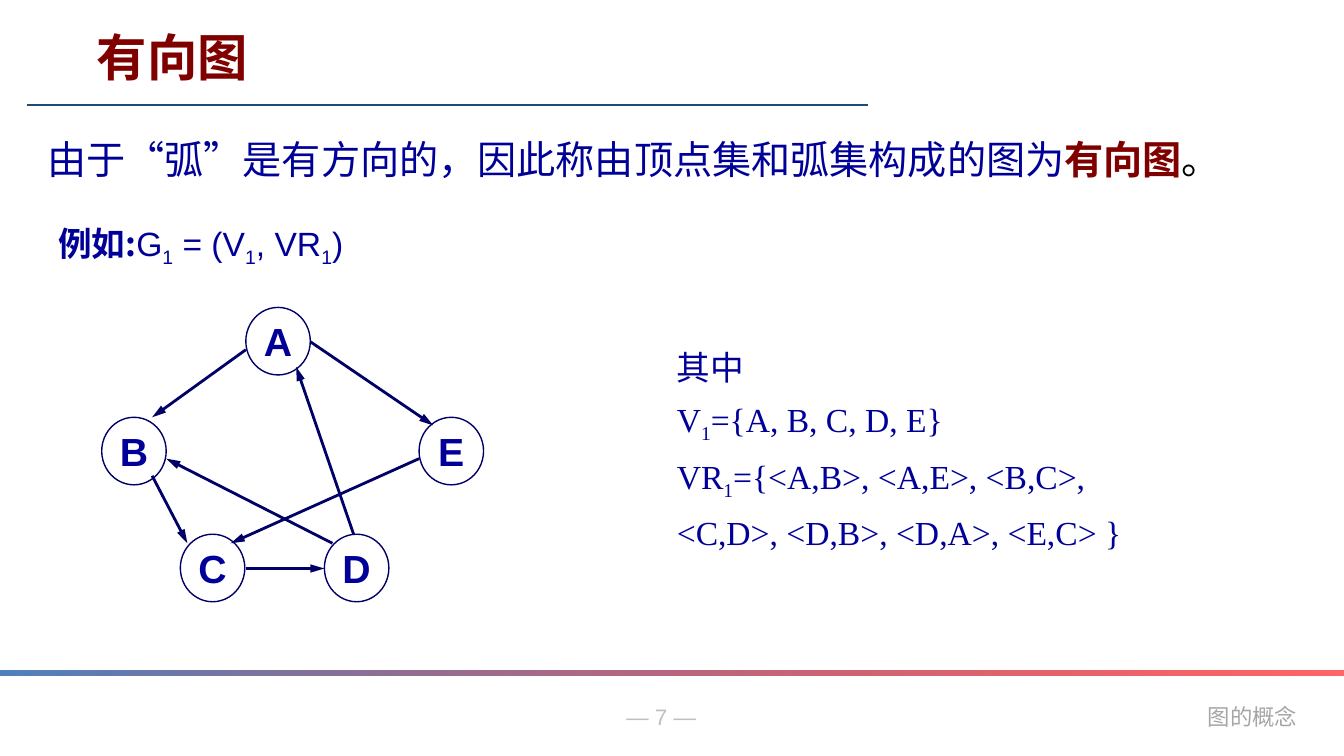
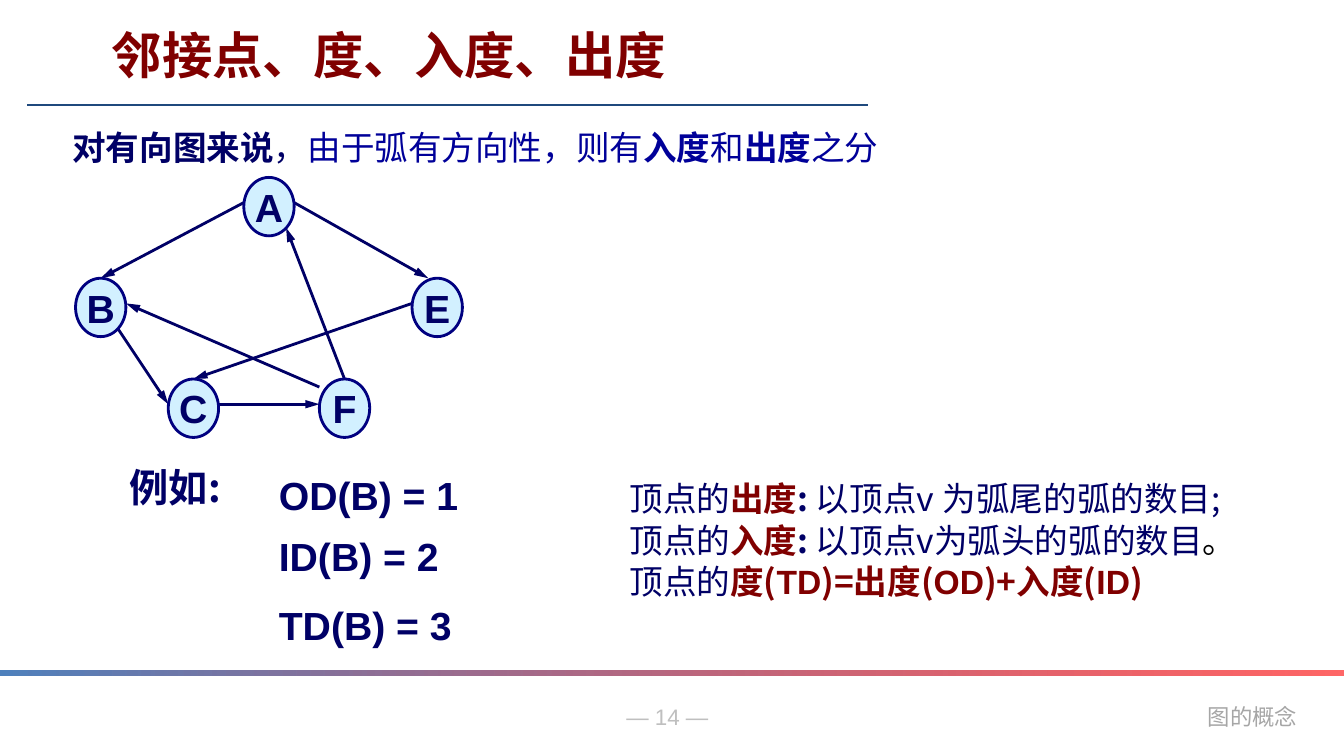
from dataclasses import dataclass

from lxml.etree import SubElement
from pptx import Presentation
from pptx.dml.color import RGBColor
from pptx.enum.shapes import MSO_CONNECTOR, MSO_SHAPE
from pptx.enum.text import MSO_ANCHOR, MSO_AUTO_SIZE, PP_ALIGN
from pptx.oxml.ns import qn
from pptx.util import Inches, Pt


@dataclass(frozen=True)
class Theme:
    blue: str = "000099"
    navy: str = "000066"
    node_line: str = "000080"
    node_fill: str = "A7E2FF"
    maroon: str = "800000"
    black: str = "000000"
    rule: str = "1F497D"
    band_start: str = "4F81BD"
    band_end: str = "FF0000"
    page_gray: str = "BFBFBF"
    footer_gray: str = "A6A6A6"
    latin: str = "Arial"
    serif: str = "Times New Roman"
    mono: str = "Noto Sans Mono"
    chinese: str = "Noto Sans CJK SC"
    title_size: int = 36
    large_size: int = 28
    body_size: int = 24
    footer_size: int = 16


THEME = Theme()
TITLE = dict(size=THEME.title_size, color=THEME.maroon, font=THEME.latin, bold=True)
LARGE = dict(size=THEME.large_size, color=THEME.blue, font=THEME.chinese)
BODY = dict(size=THEME.body_size, color=THEME.blue, font=THEME.chinese)
FORMULA = BODY | dict(font=THEME.serif)
DEFINITION = BODY | dict(color=THEME.navy)
EXAMPLE = dict(size=THEME.large_size, color=THEME.navy, font=THEME.latin, bold=True)
FOOTER = dict(size=THEME.footer_size, color=THEME.footer_gray, font=THEME.mono)
PAGE = FOOTER | dict(color=THEME.page_gray, font=THEME.latin)
BOLD = dict(bold=True)
KEY = dict(color=THEME.maroon, bold=True)
KEY_LATIN = KEY | dict(font=THEME.latin)
SUBSCRIPT = dict(baseline=-25000)


def inches(*values):
    return [Inches(value) for value in values]


def add_run(paragraph, text, style):
    run = paragraph.add_run()
    run.text = text
    run.font.color.rgb = RGBColor.from_string(style["color"])
    values = dict(size=Pt(style["size"]), bold=style.get("bold", False), name=style["font"])
    for name, value in values.items():
        setattr(run.font, name, value)
    properties = run._r.get_or_add_rPr()
    SubElement(properties, qn("a:ea"), typeface=THEME.chinese)
    if "baseline" in style:
        properties.set("baseline", str(style["baseline"]))


def write(frame, paragraphs, style, spacing=1.0, **frame_values):
    values = dict(word_wrap=True, auto_size=MSO_AUTO_SIZE.NONE, vertical_anchor=MSO_ANCHOR.TOP)
    for name, value in (values | frame_values).items():
        setattr(frame, name, value)
    for index, runs in enumerate(paragraphs):
        paragraph = frame.add_paragraph() if index else frame.paragraphs[0]
        paragraph.alignment = PP_ALIGN.LEFT
        paragraph.line_spacing = spacing
        for text, changes in runs:
            add_run(paragraph, text, style | changes)


def add_text(slide, box, paragraphs, style, spacing=1.0):
    shape = slide.shapes.add_textbox(*inches(*box))
    write(shape.text_frame, paragraphs, style, spacing)
    return shape


def add_line(slide, ends, color, width, arrow=False):
    line = slide.shapes.add_connector(MSO_CONNECTOR.STRAIGHT, *inches(*ends))
    line.line.color.rgb = RGBColor.from_string(color)
    line.line.width = Pt(width)
    if arrow:
        SubElement(line.line._get_or_add_ln(), qn("a:tailEnd"), type="triangle", w="med", len="lg")
    SubElement(line._element.spPr, qn("a:effectLst"))
    return line


def set_alpha(shape, color, percent):
    for element in shape._element.spPr.iter(qn("a:srgbClr")):
        if element.get("val") == color:
            SubElement(element, qn("a:alpha"), val=str(percent * 1000))


def add_node(slide, letter, box, text_color, line_color, line_width, fill):
    node = slide.shapes.add_shape(MSO_SHAPE.OVAL, *inches(*box))
    node.shadow.inherit = False
    node.line.color.rgb = RGBColor.from_string(line_color)
    node.line.width = Pt(line_width)
    if fill:
        node.fill.solid()
        node.fill.fore_color.rgb = RGBColor.from_string(fill)
        set_alpha(node, fill, 50)
    else:
        node.fill.background()
    write(node.text_frame, [[(letter, {})]], EXAMPLE | dict(color=text_color),
          word_wrap=False, vertical_anchor=MSO_ANCHOR.MIDDLE)
    node.text_frame.paragraphs[0].alignment = PP_ALIGN.CENTER


def add_graph(slide, nodes, node_size, edges, **node_style):
    for ends in edges:
        add_line(slide, ends, THEME.navy, 2, arrow=True)
    for letter, corner in nodes.items():
        add_node(slide, letter, corner + node_size, **node_style)


def add_band(slide):
    band = slide.shapes.add_shape(MSO_SHAPE.RECTANGLE, *inches(0, 6.65, 13.34, 0.05))
    band.shadow.inherit = False
    band.line.fill.background()
    band.fill.gradient()
    band.fill.gradient_angle = 0
    for position, color in enumerate((THEME.band_start, THEME.band_end)):
        stop = band.fill.gradient_stops[position]
        stop.position = position
        stop.color.rgb = RGBColor.from_string(color)
    set_alpha(band, THEME.band_end, 60)
    return band


def decorate_layout(layout, slide):
    shared = [
        add_text(slide, (11.89, 6.93, 1.3, 0.37), [[("图的概念", {})]], FOOTER),
        add_line(slide, (0.27, 1.04, 8.62, 1.04), THEME.rule, 1),
        add_band(slide),
    ]
    for number, shape in enumerate(shared, 101):
        shape._element.xpath(".//p:cNvPr")[0].set("id", str(number))
        layout.shapes._spTree.append(shape._element)


def add_slide(presentation, title, title_box, page):
    slide = presentation.slides.add_slide(presentation.slide_layouts[5])
    placeholder = slide.shapes.title
    for name, value in zip(("left", "top", "width", "height"), inches(*title_box)):
        setattr(placeholder, name, value)
    write(placeholder.text_frame, [[(title, {})]], TITLE)
    add_text(slide, (6.12, 6.93, 1.3, 0.37), [[(f"— {page} —", {})]], PAGE)
    return slide


def build_directed_graph(presentation):
    slide = add_slide(presentation, "有向图", (0.86, 0.21, 2.31, 0.71), 7)
    intro = add_text(slide, (0.12, 1.2, 12.86, 0.78), [[
        ("由于“弧”是有方向的，因此称由顶点集和弧集构成的图为", {}),
        ("有向图", KEY),
        ("。", dict(color=THEME.black)),
    ]], LARGE, 1.2)
    properties = intro.text_frame.paragraphs[0]._p.get_or_add_pPr()
    properties.set("indent", str(Inches(0.25)))

    nodes = {"A": (2.44, 3.05), "B": (1.01, 4.14), "E": (4.16, 4.14),
             "C": (1.79, 5.3), "D": (3.22, 5.3)}
    edges = [
        (2.44, 3.47, 1.51, 4.14),
        (1.51, 4.72, 1.86, 5.39),
        (2.44, 5.64, 3.22, 5.64),
        (3.51, 5.3, 2.94, 3.64),
        (3.08, 3.39, 4.3, 4.22),
        (3.3, 5.39, 1.65, 4.55),
        (4.16, 4.55, 2.29, 5.39),
    ]
    add_graph(slide, nodes, (0.64, 0.67), edges, text_color=THEME.blue,
              line_color=THEME.navy, line_width=1, fill=None)

    latin = dict(font=THEME.latin)
    latin_subscript = ("1", latin | SUBSCRIPT)
    add_text(slide, (0.48, 2.07, 5.22, 0.68), [[
        ("例如:", BOLD), ("G", latin), latin_subscript, (" = (V", latin),
        latin_subscript, (", VR", latin), latin_subscript, (")", latin),
    ]], BODY, 1.2)
    add_text(slide, (6.62, 3.29, 5.13, 2.23), [
        [("其中", {})],
        [("V", {}), ("1", SUBSCRIPT), ("={A, B, C, D, E}", {})],
        [("VR", {}), ("1", SUBSCRIPT),
         ("={<A,B>, <A,E>, <B,C>, <C,D>, <D,B>, <D,A>, <E,C> }", {})],
    ], FORMULA, 1.25)
    return slide


def build_degrees(presentation):
    slide = add_slide(presentation, "邻接点、度、入度、出度", (1.01, 0.19, 7.09, 0.71), 14)
    nodes = {"A": (2.42, 1.76), "B": (0.75, 2.76), "E": (4.09, 2.76),
             "C": (1.67, 3.76), "F": (3.17, 3.76)}
    edges = [
        (2.42, 2.01, 1, 2.76),
        (1.17, 3.26, 1.67, 4.01),
        (2.17, 4.01, 3.17, 4.01),
        (3.42, 3.76, 2.84, 2.26),
        (2.92, 2.01, 4.25, 2.76),
        (3.17, 3.84, 1.25, 3.01),
        (4.09, 3.01, 1.92, 3.76),
    ]
    add_graph(slide, nodes, (0.5, 0.58), edges, text_color=THEME.navy,
              line_color=THEME.node_line, line_width=2, fill=THEME.node_fill)

    navy = dict(color=THEME.navy)
    add_text(slide, (0.62, 1.11, 8.56, 0.7), [[
        ("对有向图来说", navy | BOLD), ("，", navy), ("由于弧有方向性，则有", {}),
        ("入度", BOLD), ("和", {}), ("出度", BOLD), ("之分", {}),
    ]], BODY, 1.25)
    add_text(slide, (6.15, 4.68, 6.79, 1.59), [
        [("顶点的", {}), ("出度", KEY), (": ", BOLD), ("以顶点", {}),
         ("v ", dict(font=THEME.latin)), ("为弧尾的弧的数目;", {})],
        [("顶点的", {}), ("入度", KEY), (": ", BOLD), ("以顶点v为弧头的弧的数目", {}),
         ("。", dict(color=THEME.black))],
        [("顶点的", {}), ("度(", KEY), ("TD", KEY_LATIN), (")=出度(", KEY),
         ("OD", KEY_LATIN), (")+入度(", KEY), ("ID", KEY_LATIN), (")", KEY)],
    ], DEFINITION, 1.03)

    add_text(slide, (1.19, 4.55, 1.46, 0.67), [[("例如:", {})]],
             EXAMPLE | dict(font=THEME.chinese))
    for top, formula in ((4.63, "OD(B) = 1"), (5.23, "ID(B) = 2"), (5.92, "TD(B) = 3")):
        add_text(slide, (2.67, top, 2.5, 0.57), [[(formula, {})]], EXAMPLE)


def main():
    presentation = Presentation()
    presentation.slide_width, presentation.slide_height = inches(13.34, 7.5)
    first_slide = build_directed_graph(presentation)
    decorate_layout(first_slide.slide_layout, first_slide)
    build_degrees(presentation)
    presentation.save("out.pptx")


if __name__ == "__main__":
    main()
